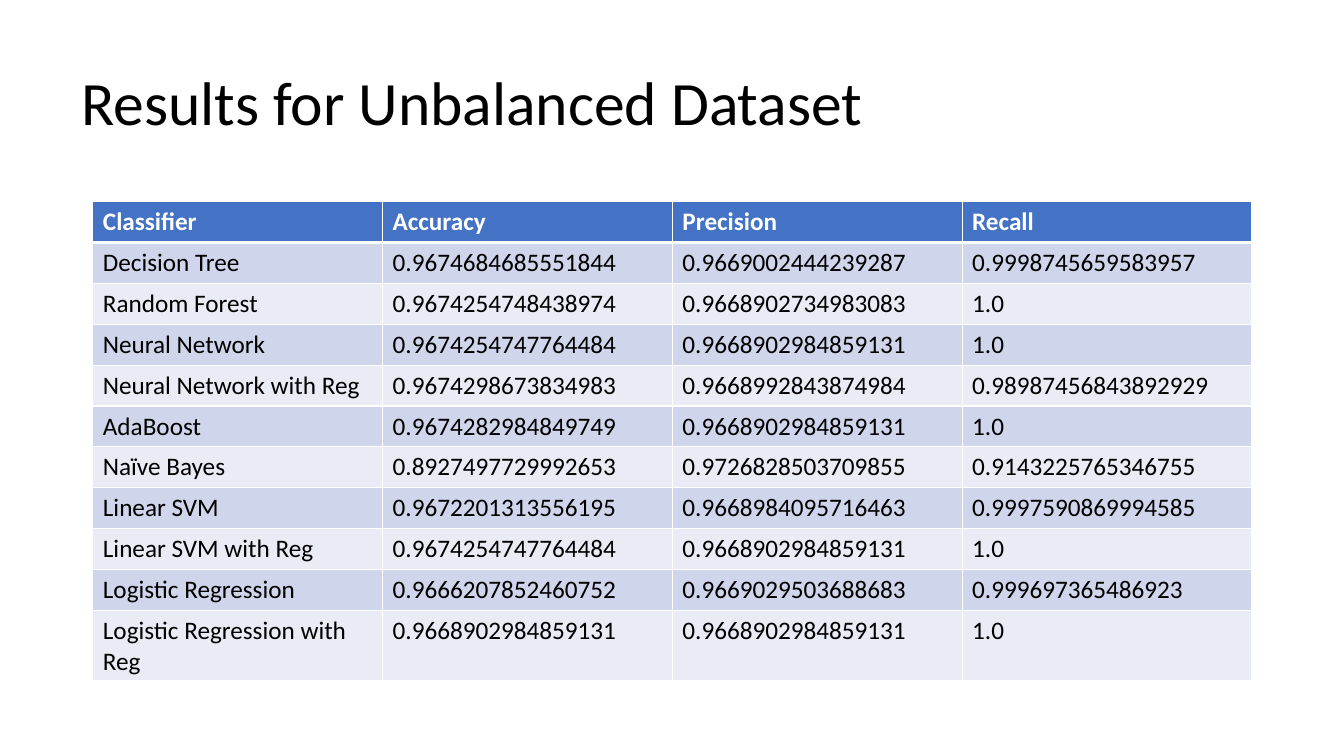
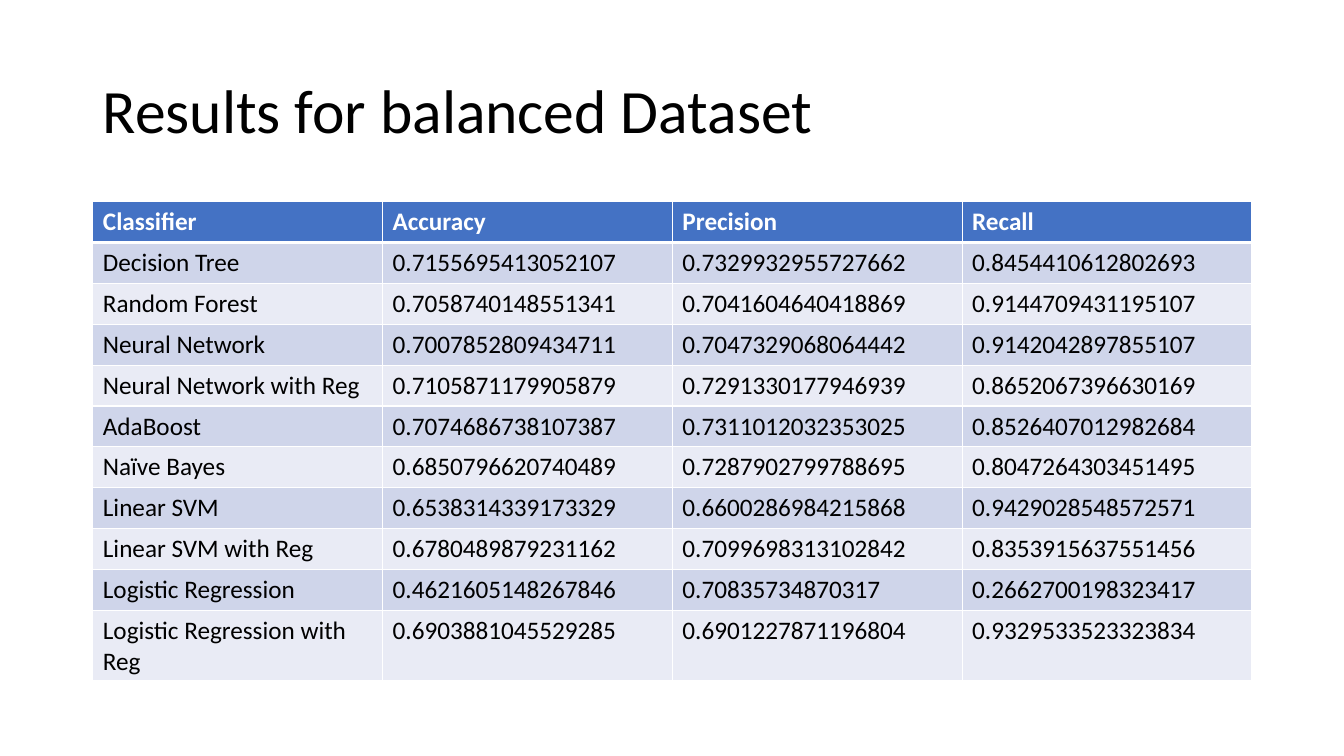
from dataclasses import dataclass

from lxml.etree import SubElement
from pptx import Presentation
from pptx.dml.color import RGBColor
from pptx.enum.text import MSO_ANCHOR
from pptx.oxml.ns import qn
from pptx.util import Cm, Pt

# Shared style
FONT = "Calibri"
BLACK, WHITE = "000000", "FFFFFF"
HEADER_FILL = "4472C4"
BAND_FILLS = ("CFD5EA", "E9EBF5")
CONTENT_W = 29.21
TITLE_H = 3.68
TABLE_LEFT, TABLE_TOP = 2.34, 5.08
ROW_H, LAST_ROW_H = 1.03, 1.78
THIN, THICK = 1, 3

HEADERS = ("Classifier", "Accuracy", "Precision", "Recall")
CLASSIFIERS = (
    "Decision Tree", "Random Forest", "Neural Network", "Neural Network with Reg",
    "AdaBoost", "Naïve Bayes", "Linear SVM", "Linear SVM with Reg",
    "Logistic Regression", "Logistic Regression with Reg",
)


@dataclass(frozen=True)
class ResultSlide:
    title: str
    title_left: float
    title_top: float
    scores: tuple[tuple[str, str, str], ...]  # accuracy, precision, recall


RESULTS = (
    ResultSlide("Results for Unbalanced Dataset", 1.8, 0.81, (
        ("0.9674684685551844", "0.9669002444239287", "0.9998745659583957"),
        ("0.9674254748438974", "0.9668902734983083", "1.0"),
        ("0.9674254747764484", "0.9668902984859131", "1.0"),
        ("0.9674298673834983", "0.9668992843874984", "0.98987456843892929"),
        ("0.9674282984849749", "0.9668902984859131", "1.0"),
        ("0.8927497729992653", "0.9726828503709855", "0.9143225765346755"),
        ("0.9672201313556195", "0.9668984095716463", "0.9997590869994585"),
        ("0.9674254747764484", "0.9668902984859131", "1.0"),
        ("0.9666207852460752", "0.9669029503688683", "0.999697365486923"),
        ("0.9668902984859131", "0.9668902984859131", "1.0"),
    )),
    ResultSlide("Results for balanced Dataset", TABLE_LEFT, 1.02, (
        ("0.7155695413052107", "0.7329932955727662", "0.8454410612802693"),
        ("0.7058740148551341", "0.7041604640418869", "0.9144709431195107"),
        ("0.7007852809434711", "0.7047329068064442", "0.9142042897855107"),
        ("0.7105871179905879", "0.7291330177946939", "0.8652067396630169"),
        ("0.7074686738107387", "0.7311012032353025", "0.8526407012982684"),
        ("0.6850796620740489", "0.7287902799788695", "0.8047264303451495"),
        ("0.6538314339173329", "0.6600286984215868", "0.9429028548572571"),
        ("0.6780489879231162", "0.7099698313102842", "0.8353915637551456"),
        ("0.4621605148267846", "0.70835734870317", "0.2662700198323417"),
        ("0.6903881045529285", "0.6901227871196804", "0.9329533523323834"),
    )),
)


def rgb(color: str) -> RGBColor:
    return RGBColor.from_string(color)


def style_text(tf, size: float, color: str, bold: bool = False) -> None:
    for p in tf.paragraphs:
        for r in p.runs:
            r.font.name = FONT
            r.font.size = Pt(size)
            r.font.bold = bold
            r.font.color.rgb = rgb(color)


def set_borders(cell, top: float, bottom: float) -> None:
    """Add white borders; call before the fill, which must follow them in the XML."""
    tc_pr = cell._tc.get_or_add_tcPr()
    for side, width in (("L", THIN), ("R", THIN), ("T", top), ("B", bottom)):
        ln = SubElement(tc_pr, qn(f"a:ln{side}"), w=str(Pt(width)))
        fill = SubElement(ln, qn("a:solidFill"))
        SubElement(fill, qn("a:srgbClr"), val=WHITE)


def add_title(s, result: ResultSlide) -> None:
    box = s.shapes.add_textbox(Cm(result.title_left), Cm(result.title_top),
                               Cm(CONTENT_W), Cm(TITLE_H))
    tf = box.text_frame
    tf.word_wrap = True
    tf.vertical_anchor = MSO_ANCHOR.MIDDLE
    tf.text = result.title
    tf.paragraphs[0].line_spacing = 0.9
    style_text(tf, 44, BLACK)


def add_results_table(s, result: ResultSlide) -> None:
    rows = [HEADERS] + [(name, *scores) for name, scores in zip(CLASSIFIERS, result.scores)]
    last = len(rows) - 1
    frame = s.shapes.add_table(len(rows), len(HEADERS), Cm(TABLE_LEFT), Cm(TABLE_TOP),
                               Cm(CONTENT_W), Cm(ROW_H * last + LAST_ROW_H))
    table = frame.table
    for i, values in enumerate(rows):
        table.rows[i].height = Cm(LAST_ROW_H if i == last else ROW_H)
        header = i == 0
        for j, value in enumerate(values):
            cell = table.cell(i, j)
            set_borders(cell, THICK if i == 1 else THIN, THICK if header else THIN)
            cell.fill.solid()
            cell.fill.fore_color.rgb = rgb(HEADER_FILL if header else BAND_FILLS[(i - 1) % 2])
            cell.text_frame.text = value
            style_text(cell.text_frame, 18, WHITE if header else BLACK, header)


def main() -> None:
    prs = Presentation()
    prs.slide_width, prs.slide_height = Cm(33.87), Cm(19.05)
    for result in RESULTS:
        s = prs.slides.add_slide(prs.slide_layouts[6])
        add_title(s, result)
        add_results_table(s, result)
    prs.save("out.pptx")


if __name__ == "__main__":
    main()
